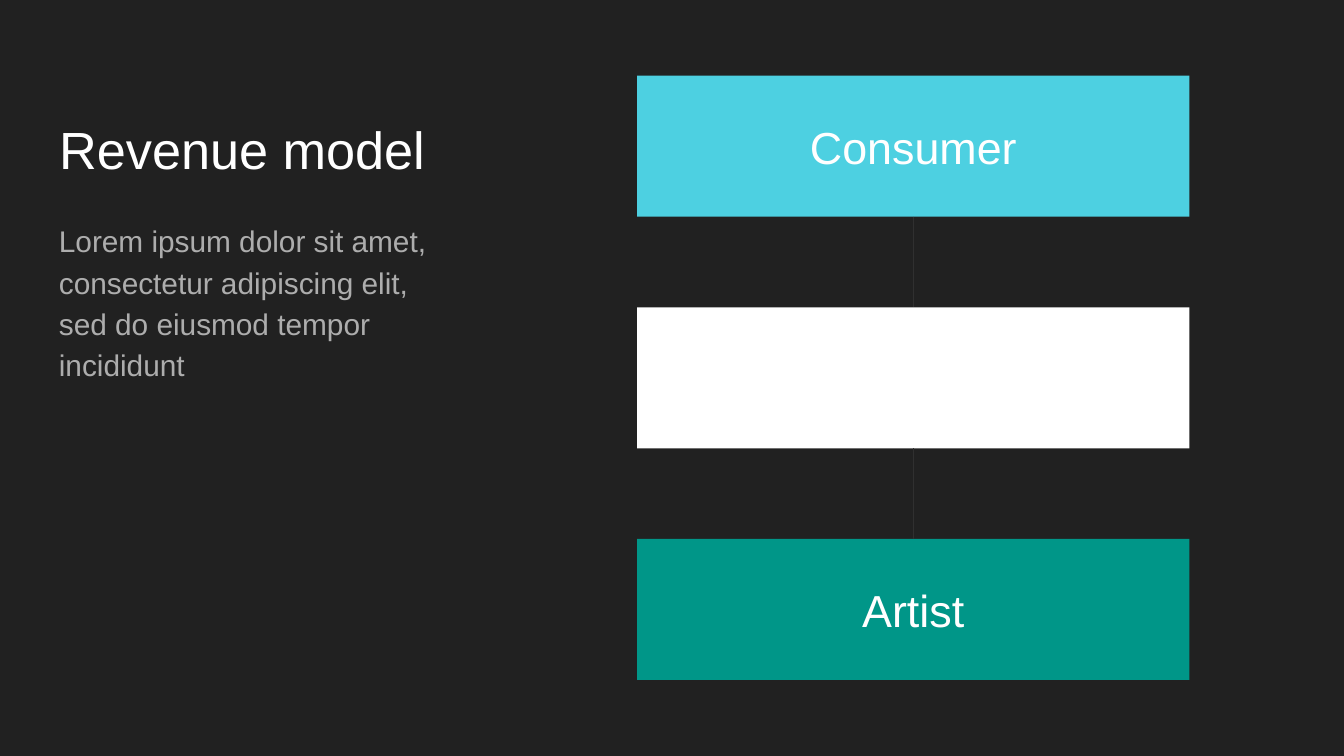
from dataclasses import dataclass
from itertools import pairwise

from lxml.etree import SubElement
from pptx import Presentation
from pptx.dml.color import RGBColor
from pptx.enum.shapes import MSO_CONNECTOR, MSO_SHAPE
from pptx.enum.text import MSO_ANCHOR, MSO_AUTO_SIZE, PP_ALIGN
from pptx.oxml.ns import qn
from pptx.util import Inches, Pt


@dataclass(frozen=True)
class Theme:
    font: str = "Arial"
    back: str = "212121"
    white: str = "FFFFFF"
    grey: str = "ADADAD"
    rule: str = "303030"
    cyan: str = "4DD0E1"
    teal: str = "009688"
    head: int = 28
    label: int = 24
    body: int = 16


THEME = Theme()
WIDE = 10
HIGH = WIDE * 9 / 16
LEFT, COL = 0.34, 3.07
BOX_X, BOX_W, BOX_H = 4.74, 4.11, 1.05
FIRST, LAST = HIGH / 10, 4.01
STEP = (LAST - FIRST) / 2


def rgb(code):
    return RGBColor.from_string(code)


def write(shape, text, size, color, anchor, align=PP_ALIGN.LEFT):
    frame = shape.text_frame
    frame.word_wrap = True
    frame.auto_size = MSO_AUTO_SIZE.NONE
    frame.vertical_anchor = anchor
    frame.margin_left = frame.margin_right = Inches(0.1)
    frame.margin_top = frame.margin_bottom = Inches(0.1)
    para = frame.paragraphs[0]
    para.text = text
    para.alignment = align
    para.font.name = THEME.font
    para.font.size = Pt(size)
    para.font.color.rgb = rgb(color)
    return para


def add_title(slide, text):
    title = slide.shapes.title
    title.left, title.top = Inches(LEFT), Inches(0.61)
    title.width, title.height = Inches(COL), Inches(0.83)
    write(title, text, THEME.head, THEME.white, MSO_ANCHOR.BOTTOM)


def add_body(slide, text):
    box = slide.shapes.add_textbox(
        Inches(LEFT), Inches(1.52), Inches(COL), Inches(3.48))
    para = write(box, text, THEME.body, THEME.grey, MSO_ANCHOR.TOP)
    para.line_spacing = 1.15
    para.space_after = Pt(12)


def add_box(slide, row, text, fill):
    box = slide.shapes.add_shape(
        MSO_SHAPE.RECTANGLE, Inches(BOX_X), Inches(FIRST + row * STEP),
        Inches(BOX_W), Inches(BOX_H))
    box.shadow.inherit = False
    box.fill.solid()
    box.fill.fore_color.rgb = rgb(fill)
    box.line.fill.background()
    if text:
        write(box, text, THEME.label, THEME.white,
              MSO_ANCHOR.MIDDLE, PP_ALIGN.CENTER)
    return box


def join(slide, upper, lower):
    line = slide.shapes.add_connector(MSO_CONNECTOR.STRAIGHT, 0, 0, 0, 0)
    line.begin_connect(upper, 2)
    line.end_connect(lower, 0)
    line.line.color.rgb = rgb(THEME.rule)
    line.line.width = Pt(0.75)
    SubElement(line.element.spPr, qn("a:effectLst"))


def main():
    deck = Presentation()
    deck.slide_width, deck.slide_height = Inches(WIDE), Inches(HIGH)
    slide = deck.slides.add_slide(deck.slide_layouts[5])
    slide.background.fill.solid()
    slide.background.fill.fore_color.rgb = rgb(THEME.back)

    add_title(slide, "Revenue model")
    add_body(slide, "Lorem ipsum dolor sit amet, consectetur adipiscing "
                    "elit, sed do eiusmod tempor incididunt")
    stages = [("Consumer", THEME.cyan), ("", THEME.white),
              ("Artist", THEME.teal)]
    boxes = [add_box(slide, row, text, fill)
             for row, (text, fill) in enumerate(stages)]
    for upper, lower in pairwise(boxes):
        join(slide, upper, lower)
    deck.save("out.pptx")


if __name__ == "__main__":
    main()
